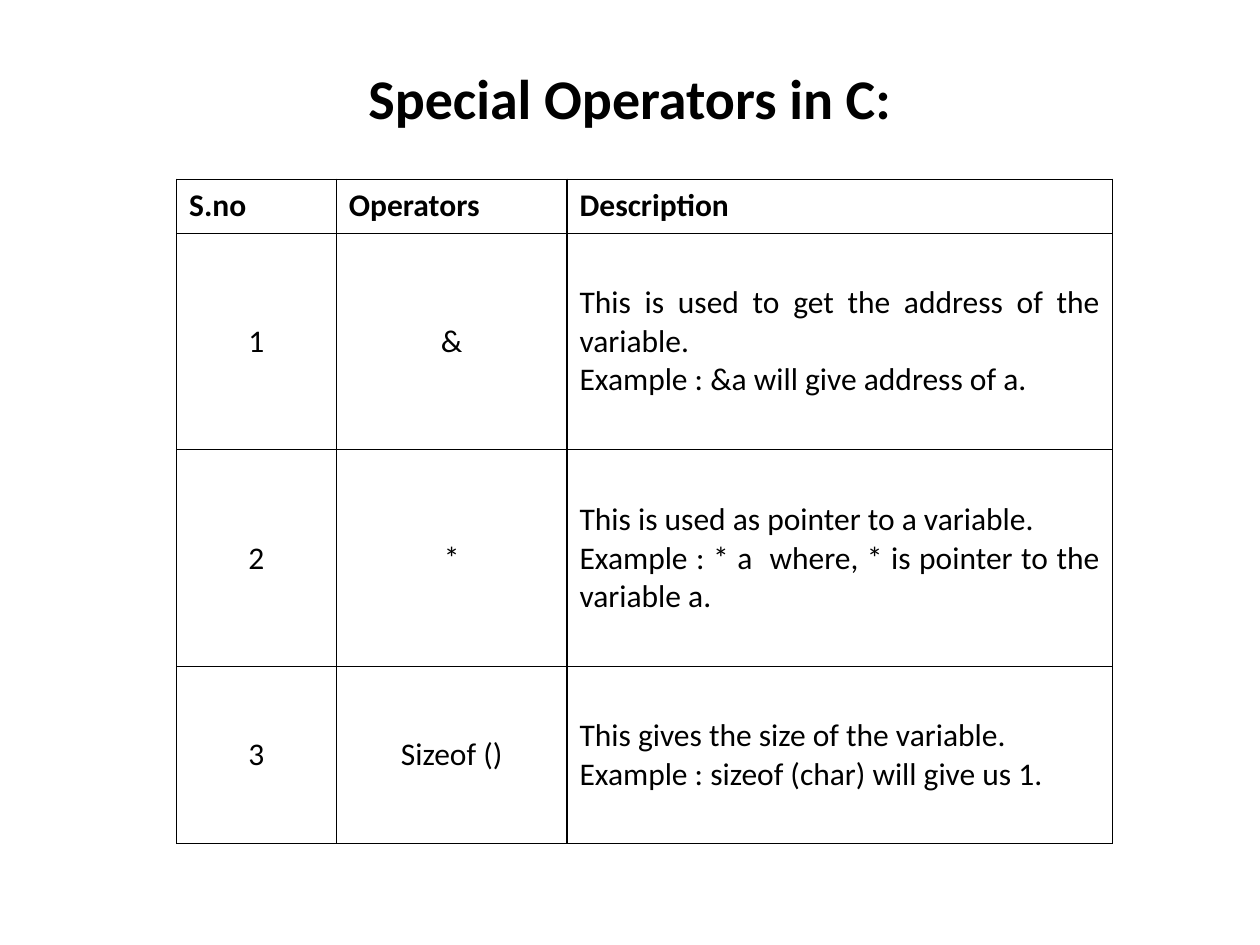
from lxml import etree
from pptx import Presentation
from pptx import util as u
from pptx.dml import color
from pptx.enum import text
from pptx.oxml import ns

FONT = "Calibri"
BLACK = "000000"
WHITE = "FFFFFF"
LEFT, CENTER, JUSTIFY = text.PP_ALIGN.LEFT, text.PP_ALIGN.CENTER, text.PP_ALIGN.JUSTIFY

COLUMN_WIDTHS = [3.22, 4.65, 11.0]
ROW_HEIGHTS = [1.09, 4.37, 4.37, 3.56]
HEADINGS = ["S.no", "Operators", "Description"]
OPERATORS = [
    ("&", ["This is used to get the address of the variable.",
           "Example : &a will give address of a."]),
    ("*", ["This is used as pointer to a variable.",
           "Example : * a  where, * is pointer to the variable a."]),
    ("Sizeof ()", ["This gives the size of the variable.",
                   "Example : sizeof (char) will give us 1."]),
]


def rgb(value):
    return color.RGBColor.from_string(value)


def write(frame, lines, size, alignment, bold=False):
    for index, line in enumerate(lines):
        paragraph = frame.paragraphs[0] if index == 0 else frame.add_paragraph()
        paragraph.alignment = alignment
        run = paragraph.add_run()
        run.text = line
        run.font.name = FONT
        run.font.size = u.Pt(size)
        run.font.bold = bold
        run.font.color.rgb = rgb(BLACK)


def add_title(slide, title):
    box = slide.shapes.add_textbox(u.Cm(1.27), u.Cm(0.76), u.Cm(22.86), u.Cm(2.41))
    frame = box.text_frame
    frame.word_wrap = True
    frame.vertical_anchor = text.MSO_ANCHOR.MIDDLE
    write(frame, [title], 32, CENTER, bold=True)


def add_borders(cell, value, width):
    properties = cell._tc.get_or_add_tcPr()
    for side in ("a:lnL", "a:lnR", "a:lnT", "a:lnB"):
        line = etree.SubElement(properties, ns.qn(side), w=str(u.Pt(width)))
        fill = etree.SubElement(line, ns.qn("a:solidFill"))
        etree.SubElement(fill, ns.qn("a:srgbClr"), val=value)


def fill_cell(cell, lines, alignment, bold=False):
    add_borders(cell, BLACK, 0.75)
    cell.fill.solid()
    cell.fill.fore_color.rgb = rgb(WHITE)
    cell.vertical_anchor = text.MSO_ANCHOR.MIDDLE
    write(cell.text_frame, lines, 18, alignment, bold)


def add_operator_table(slide):
    table = slide.shapes.add_table(
        len(ROW_HEIGHTS), len(COLUMN_WIDTHS), u.Cm(3.56), u.Cm(3.61),
        u.Cm(sum(COLUMN_WIDTHS)), u.Cm(sum(ROW_HEIGHTS))).table
    for column, width in zip(table.columns, COLUMN_WIDTHS):
        column.width = u.Cm(width)
    for row, height in zip(table.rows, ROW_HEIGHTS):
        row.height = u.Cm(height)
    for index, heading in enumerate(HEADINGS):
        fill_cell(table.cell(0, index), [heading], LEFT, bold=True)
    for number, (operator, description) in enumerate(OPERATORS, start=1):
        fill_cell(table.cell(number, 0), [str(number)], CENTER)
        fill_cell(table.cell(number, 1), [operator], CENTER)
        fill_cell(table.cell(number, 2), description, JUSTIFY)


def main():
    presentation = Presentation()
    presentation.slide_width = u.Cm(25.4)
    presentation.slide_height = u.Cm(19.05)
    slide = presentation.slides.add_slide(presentation.slide_layouts[6])
    add_title(slide, "Special Operators in C:")
    add_operator_table(slide)
    presentation.save("out.pptx")


if __name__ == "__main__":
    main()
